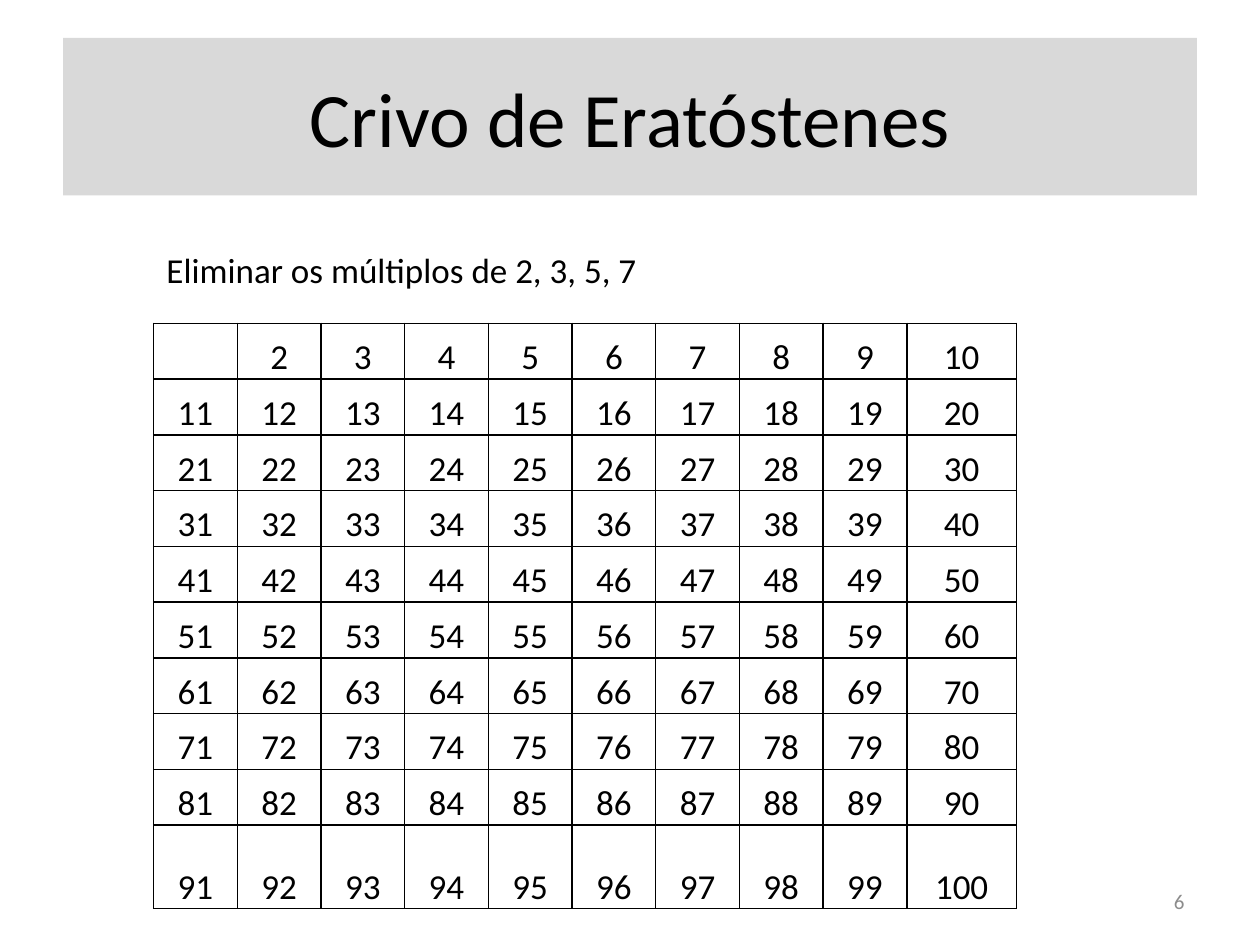
from dataclasses import dataclass

from lxml.etree import SubElement
from pptx import Presentation
from pptx.dml.color import RGBColor
from pptx.enum.text import MSO_ANCHOR as Anchor, PP_ALIGN as Align
from pptx.oxml.ns import qn
from pptx.util import Pt


@dataclass(frozen=True)
class Theme:
    font: str = "Calibri"
    ink: str = "000000"
    muted: str = "8C8C8C"
    band: str = "D9D9D9"
    paper: str = "FFFFFF"
    title_size: int = 44
    body_size: int = 20
    small_size: int = 12


THEME = Theme()
SIDE = 10  # numbers per row and per column of the sieve


def paint(target, color):
    target.fill.solid()
    target.fill.fore_color.rgb = RGBColor.from_string(color)


def write(frame, text, size, color=THEME.ink, align=Align.CENTER):
    para = frame.paragraphs[0]
    para.text = text
    para.alignment = align
    para.font.name = THEME.font
    para.font.size = Pt(size)
    para.font.color.rgb = RGBColor.from_string(color)


def place(shape, left, top, width, height):
    shape.left, shape.top = Pt(left), Pt(top)
    shape.width, shape.height = Pt(width), Pt(height)


def add_title(page, text):
    title = page.shapes.title
    place(title, 36, 21.6, 648, 90)
    paint(title, THEME.band)
    title.text_frame.vertical_anchor = Anchor.MIDDLE
    write(title.text_frame, text, THEME.title_size)


def add_text(page, text, bounds, size, anchor=Anchor.TOP, **style):
    box = page.shapes.add_textbox(*map(Pt, bounds))
    box.text_frame.word_wrap = True
    box.text_frame.vertical_anchor = anchor
    write(box.text_frame, text, size, **style)


def add_borders(cell):
    properties = cell._tc.get_or_add_tcPr()
    for side in ("a:lnL", "a:lnR", "a:lnT", "a:lnB"):
        line = SubElement(properties, qn(side), w=str(Pt(1)))
        fill = SubElement(line, qn("a:solidFill"))
        SubElement(fill, qn("a:srgbClr"), val=THEME.ink)


def format_cell(cell):
    add_borders(cell)
    paint(cell, THEME.paper)
    cell.vertical_anchor = Anchor.BOTTOM
    cell.margin_left = cell.margin_right = cell.margin_top = Pt(0.75)
    cell.margin_bottom = 0


def add_sieve(page):
    """Number grid from 2 to 100, with the cell for 1 left empty."""
    widths = [47.83] * (SIDE - 1) + [62.75]
    heights = [31.88] * (SIDE - 1) + [47.75]
    table = page.shapes.add_table(
        SIDE, SIDE, Pt(87.8), Pt(184.8), Pt(sum(widths)), Pt(sum(heights))
    ).table
    for column, width in zip(table.columns, widths):
        column.width = Pt(width)
    for row, height in zip(table.rows, heights):
        row.height = Pt(height)
    for number, cell in enumerate(table.iter_cells(), start=1):
        format_cell(cell)
        if number > 1:
            write(cell.text_frame, str(number), THEME.body_size)


def main():
    deck = Presentation()
    deck.slide_width, deck.slide_height = Pt(720), Pt(540)
    page = deck.slides.add_slide(deck.slide_layouts[5])
    paint(page.background, THEME.paper)
    add_title(page, "Crivo de Eratóstenes")
    add_text(page, "6", (516, 500.5, 168, 28.75), THEME.small_size,
             Anchor.MIDDLE, color=THEME.muted, align=Align.RIGHT)
    add_sieve(page)
    add_text(page, "Eliminar os múltiplos de 2, 3, 5, 7",
             (76.5, 138.2, 306, 31.5), THEME.body_size)
    deck.save("out.pptx")


if __name__ == "__main__":
    main()
